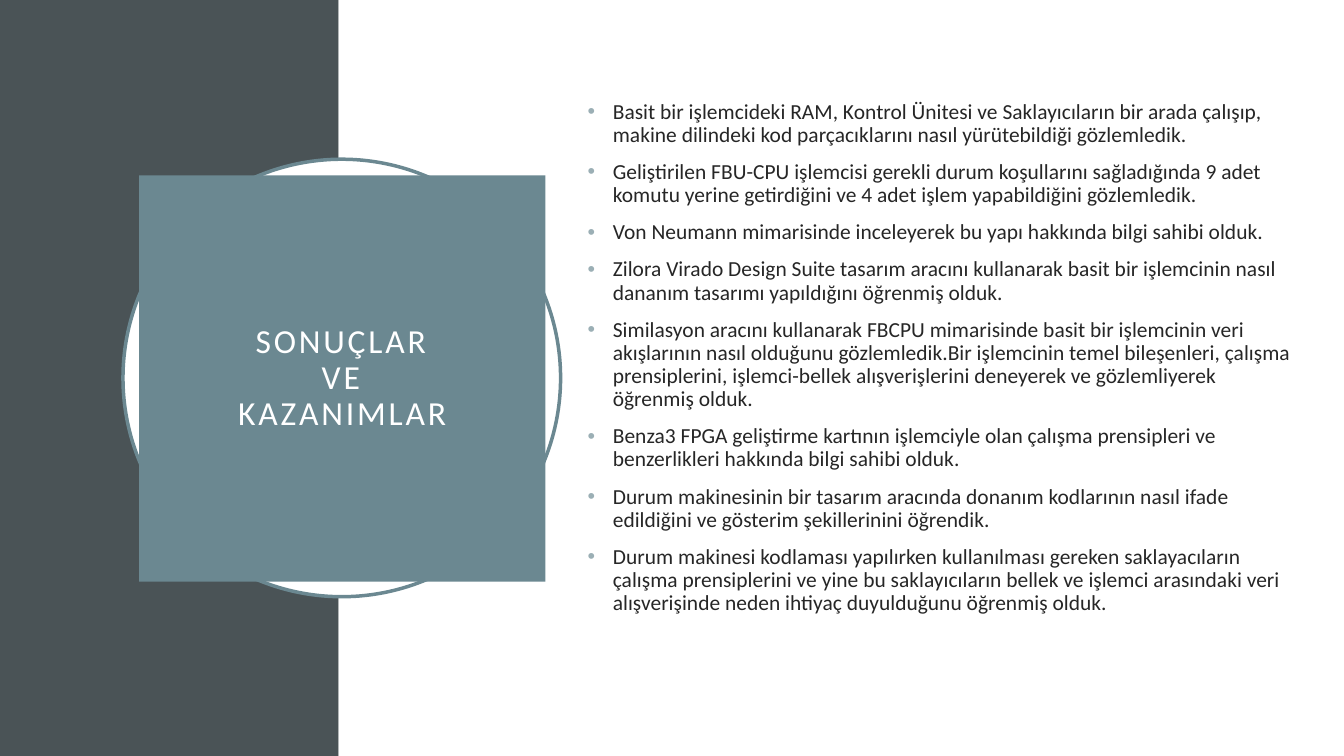
from dataclasses import dataclass

from lxml import etree
from pptx import Presentation, util as u
from pptx.dml.color import RGBColor
from pptx.enum import shapes, text
from pptx.oxml import ns

HUES = {
    "slate": "4A5356",
    "white": "FFFFFF",
    "teal": "6B8891",
    "ink": "262626",
    "dot": "9BAFB5",
}
FONT = "Calibri"
KIND = shapes.MSO_SHAPE


@dataclass
class Panel:
    kind: int
    left: float
    top: float
    width: float
    height: float
    fill: str
    line: str = ""


PANELS = [
    Panel(KIND.RECTANGLE, 0, 0, 3.36, 7.5, "slate"),
    Panel(KIND.RECTANGLE, 3.36, 0, 9.97, 7.5, "white"),
    Panel(KIND.OVAL, 1.22, 1.58, 4.34, 4.34, "white", "teal"),
]
CARD = Panel(KIND.RECTANGLE, 1.38, 1.74, 4.03, 4.03, "teal")

TITLE = "SONUÇLAR\vVE\vKAZANIMLAR"
GAINS = [
    "Basit bir işlemcideki RAM, Kontrol Ünitesi ve Saklayıcıların bir arada çalışıp, "
    "makine dilindeki kod parçacıklarını nasıl yürütebildiği gözlemledik.",
    "Geliştirilen FBU-CPU işlemcisi gerekli durum koşullarını sağladığında 9 adet "
    "komutu yerine getirdiğini ve 4 adet işlem yapabildiğini gözlemledik.",
    "Von Neumann mimarisinde inceleyerek bu yapı hakkında bilgi sahibi olduk.",
    "Zilora Virado Design Suite tasarım aracını kullanarak basit bir işlemcinin nasıl "
    "dananım tasarımı yapıldığını öğrenmiş olduk.",
    "Similasyon aracını kullanarak FBCPU mimarisinde basit bir işlemcinin veri "
    "akışlarının nasıl olduğunu gözlemledik.Bir işlemcinin temel bileşenleri, çalışma "
    "prensiplerini, işlemci-bellek alışverişlerini deneyerek ve gözlemliyerek "
    "öğrenmiş olduk.",
    "Benza3 FPGA geliştirme kartının işlemciyle olan çalışma prensipleri ve "
    "benzerlikleri hakkında bilgi sahibi olduk.",
    "Durum makinesinin bir tasarım aracında donanım kodlarının nasıl ifade "
    "edildiğini ve gösterim şekillerinini öğrendik.",
    "Durum makinesi kodlaması yapılırken kullanılması gereken saklayacıların "
    "çalışma prensiplerini ve yine bu saklayıcıların bellek ve işlemci arasındaki veri "
    "alışverişinde neden ihtiyaç duyulduğunu öğrenmiş olduk.",
]


def rgb(hue: str) -> RGBColor:
    return RGBColor.from_string(HUES[hue])


def draw(slide, panel: Panel):
    box = (panel.left, panel.top, panel.width, panel.height)
    shape = slide.shapes.add_shape(panel.kind, *map(u.Inches, box))
    shape.shadow.inherit = False
    shape.fill.solid()
    shape.fill.fore_color.rgb = rgb(panel.fill)
    if panel.line:
        shape.line.color.rgb = rgb(panel.line)
        shape.line.width = u.Pt(2.5)
    else:
        shape.line.fill.background()
    return shape


def mark(para) -> None:
    """Give the paragraph a hanging, coloured bullet."""
    props = para._p.get_or_add_pPr()
    props.set("marL", str(u.Inches(0.25)))
    props.set("indent", str(-u.Inches(0.25)))
    tint = etree.SubElement(props, ns.qn("a:buClr"))
    etree.SubElement(tint, ns.qn("a:srgbClr"), val=HUES["dot"])
    etree.SubElement(props, ns.qn("a:buFont"), typeface="Arial")
    etree.SubElement(props, ns.qn("a:buChar"), char="•")


def write(para, words: str, *, size: float, hue: str, align=text.PP_ALIGN.LEFT,
          before: float = 0, track: float = 0, bullet: bool = False) -> None:
    para.text = words
    para.alignment = align
    para.line_spacing = 0.9
    para.space_before = u.Pt(before)
    if bullet:
        mark(para)
    for run in para.runs:
        run.font.name = FONT
        run.font.size = u.Pt(size)
        run.font.color.rgb = rgb(hue)
        if track:
            run._r.get_or_add_rPr().set("spc", str(int(track * 100)))


def main() -> None:
    deck = Presentation()
    deck.slide_width, deck.slide_height = u.Inches(13.33), u.Inches(7.5)
    slide = deck.slides.add_slide(deck.slide_layouts[6])

    for panel in PANELS:
        draw(slide, panel)

    frame = draw(slide, CARD).text_frame
    frame.word_wrap = True
    frame.vertical_anchor = text.MSO_ANCHOR.MIDDLE
    frame.margin_left = frame.margin_right = u.Inches(0.2)
    frame.margin_top = frame.margin_bottom = u.Inches(0.2)
    write(frame.paragraphs[0], TITLE, size=24, hue="white",
          align=text.PP_ALIGN.CENTER, track=2)

    body = slide.shapes.add_textbox(*map(u.Inches, (5.73, 0.95, 7.25, 5.59)))
    frame = body.text_frame
    frame.word_wrap = True
    for i, gain in enumerate(GAINS):
        para = frame.add_paragraph() if i else frame.paragraphs[0]
        write(para, gain, size=15.3, hue="ink", before=10 if i else 0, bullet=True)

    deck.save("out.pptx")


if __name__ == "__main__":
    main()
